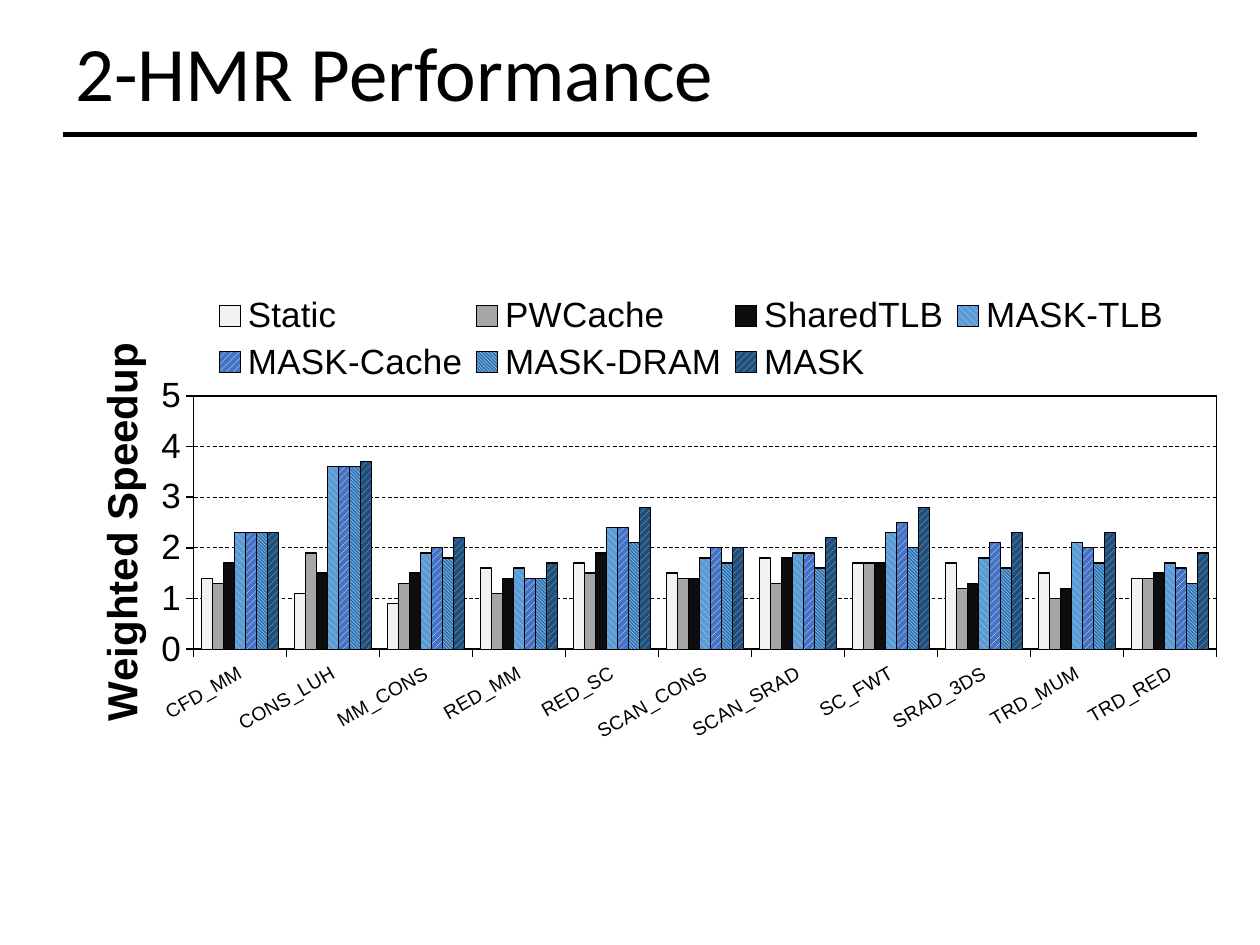
from lxml import etree
from pptx import Presentation
from pptx.chart.data import CategoryChartData
from pptx.dml.color import RGBColor
from pptx.enum.chart import XL_CHART_TYPE as ChartType, XL_LEGEND_POSITION as LegendPosition
from pptx.enum.chart import XL_TICK_MARK as TickMark
from pptx.enum.dml import MSO_LINE as LineStyle, MSO_PATTERN as Pattern
from pptx.enum.shapes import MSO_CONNECTOR as Connector
from pptx.enum.text import MSO_ANCHOR as Anchor
from pptx.oxml import parse_xml
from pptx.oxml.ns import nsdecls, qn
from pptx.util import Pt

BLACK = "000000"
CATEGORIES = ["CFD_MM", "CONS_LUH", "MM_CONS", "RED_MM", "RED_SC", "SCAN_CONS",
              "SCAN_SRAD", "SC_FWT", "SRAD_3DS", "TRD_MUM", "TRD_RED"]
SERIES = {
    "Static": [1.4, 1.1, 0.9, 1.6, 1.7, 1.5, 1.8, 1.7, 1.7, 1.5, 1.4],
    "PWCache": [1.3, 1.9, 1.3, 1.1, 1.5, 1.4, 1.3, 1.7, 1.2, 1, 1.4],
    "SharedTLB": [1.7, 1.5, 1.5, 1.4, 1.9, 1.4, 1.8, 1.7, 1.3, 1.2, 1.5],
    "MASK-TLB": [2.3, 3.6, 1.9, 1.6, 2.4, 1.8, 1.9, 2.3, 1.8, 2.1, 1.7],
    "MASK-Cache": [2.3, 3.6, 2, 1.4, 2.4, 2, 1.9, 2.5, 2.1, 2, 1.6],
    "MASK-DRAM": [2.3, 3.6, 1.8, 1.4, 2.1, 1.7, 1.6, 2, 1.6, 1.7, 1.3],
    "MASK": [2.3, 3.7, 2.2, 1.7, 2.8, 2, 2.2, 2.8, 2.3, 2.3, 1.9],
}
FILLS = {
    "Static": ("F2F2F2",),
    "PWCache": ("A6A6A6",),
    "SharedTLB": ("0D0D0D",),
    "MASK-TLB": ("5B9BD5", "BDD7EE", Pattern.WIDE_DOWNWARD_DIAGONAL),
    "MASK-Cache": ("4472C4", "FFFFFF", Pattern.WIDE_UPWARD_DIAGONAL),
    "MASK-DRAM": ("2E75B6", "FFFFFF", Pattern.DARK_DOWNWARD_DIAGONAL),
    "MASK": ("1F4E79", "9DC3E6", Pattern.WIDE_UPWARD_DIAGONAL),
}


def color(value):
    return RGBColor.from_string(value)


def set_values(target, values):
    for name, value in values.items():
        setattr(target, name, value)


def style_font(font, name, size, bold=False):
    set_values(font, {"name": name, "size": Pt(size), "bold": bold})
    font.color.rgb = color(BLACK)


def style_line(line, width):
    line.color.rgb = color(BLACK)
    line.width = Pt(width)


def fill_bars(fill, back, fore=None, pattern=None):
    if pattern is None:
        fill.solid()
        fill.fore_color.rgb = color(back)
        return
    fill.patterned()
    fill.pattern = pattern
    fill.fore_color.rgb = color(fore)
    fill.back_color.rgb = color(back)


def place(element, index, x, y, width=None, height=None, inner=False):
    for old in element.findall(qn("c:layout")):
        element.remove(old)
    values = {"xMode": "edge", "yMode": "edge", "x": x, "y": y, "w": width, "h": height}
    if inner:
        values = {"layoutTarget": "inner", **values}
    layout = parse_xml(f"<c:layout {nsdecls('c')}><c:manualLayout/></c:layout>")
    for tag, value in values.items():
        if value is not None:
            etree.SubElement(layout[0], qn(f"c:{tag}")).set("val", str(value))
    element.insert(index, layout)


def rotate(body, degrees):
    body.set("rot", str(degrees * 60000))
    body.set("vert", "horz")


def add_title(slide, text):
    shape = slide.shapes.add_textbox(Pt(36), Pt(10), Pt(648), Pt(67))
    set_values(shape.text_frame, {"word_wrap": True, "vertical_anchor": Anchor.MIDDLE})
    paragraph = shape.text_frame.paragraphs[0]
    set_values(paragraph, {"text": text, "line_spacing": 0.9})
    style_font(paragraph.runs[0].font, "Calibri", 44)


def add_rule(slide):
    rule = slide.shapes.add_connector(Connector.STRAIGHT, Pt(36), Pt(77), Pt(684), Pt(77))
    style_line(rule.line, 3)
    etree.SubElement(rule.element.spPr, qn("a:effectLst"))


def style_axis(axis, size):
    set_values(axis, {"major_tick_mark": TickMark.OUTSIDE, "minor_tick_mark": TickMark.NONE})
    style_font(axis.tick_labels.font, "Arial", size)
    style_line(axis.format.line, 1)


def style_value_axis(axis):
    style_axis(axis, 20)
    set_values(axis, {"minimum_scale": 0, "maximum_scale": 5, "major_unit": 1,
                      "has_major_gridlines": True})
    gridline = axis.major_gridlines.format.line
    style_line(gridline, 0.5)
    gridline.dash_style = LineStyle.DASH
    frame = axis.axis_title.text_frame
    frame.text = "Weighted Speedup"
    style_font(frame.paragraphs[0].runs[0].font, "Arial", 24, bold=True)


def add_legend(chart):
    chart.has_legend = True
    set_values(chart.legend, {"position": LegendPosition.RIGHT, "include_in_layout": False})
    style_font(chart.legend.font, "Arial", 20)


def arrange(chart):
    root = chart.element
    plot_area = root.xpath(".//c:plotArea")[0]
    place(plot_area, 0, 0.11, 0.29, 0.863, 0.378, inner=True)
    place(root.xpath(".//c:legend")[0], 1, 0.12, 0.13, 0.82, 0.15)
    place(root.xpath(".//c:valAx/c:title")[0], 1, 0.02, 0.2)
    rotate(root.xpath(".//c:catAx/c:txPr/a:bodyPr")[0], -30)
    rotate(root.xpath(".//c:valAx/c:title//a:bodyPr")[0], -90)
    plot_area.append(parse_xml(
        f'<c:spPr {nsdecls("c", "a")}><a:noFill/><a:ln w="{Pt(1)}"><a:solidFill>'
        f'<a:srgbClr val="{BLACK}"/></a:solidFill></a:ln></c:spPr>'))


def add_speedup_chart(slide):
    data = CategoryChartData()
    data.categories = CATEGORIES
    for name, values in SERIES.items():
        data.add_series(name, values)
    chart = slide.shapes.add_chart(ChartType.COLUMN_CLUSTERED, Pt(36), Pt(115.2),
                                   Pt(677.5), Pt(383), data).chart
    chart.has_title = False
    style_font(chart.font, "Calibri", 10)
    plot = chart.plots[0]
    set_values(plot, {"gap_width": 150, "overlap": 0, "vary_by_categories": False})
    for series in plot.series:
        fill_bars(series.format.fill, *FILLS[series.name])
        style_line(series.format.line, 0.75)
    style_axis(chart.category_axis, 11)
    style_value_axis(chart.value_axis)
    add_legend(chart)
    arrange(chart)


def main():
    presentation = Presentation()
    set_values(presentation, {"slide_width": Pt(720), "slide_height": Pt(540)})
    slide = presentation.slides.add_slide(presentation.slide_layouts[6])
    add_speedup_chart(slide)
    add_title(slide, "2-HMR Performance")
    add_rule(slide)
    presentation.save("out.pptx")


if __name__ == "__main__":
    main()
